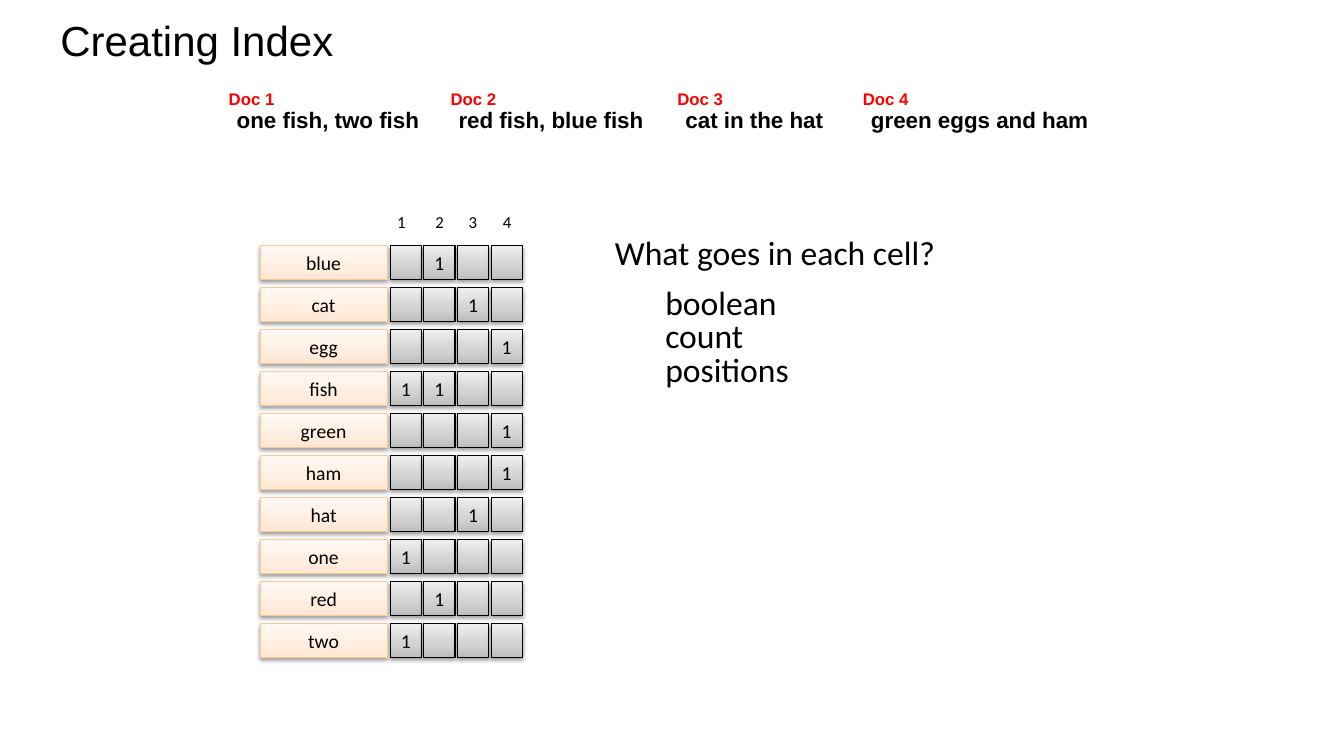
from lxml.etree import SubElement
from pptx import Presentation
from pptx.dml.color import RGBColor
from pptx.enum.shapes import MSO_SHAPE
from pptx.enum.text import MSO_ANCHOR, MSO_AUTO_SIZE, PP_ALIGN
from pptx.oxml.ns import qn
from pptx.util import Inches, Pt

GREY = ("BDBDBD", "D1D1D1", "EEEEEE")
PEACH = ("FFE7D4", "FFEEE0", "FFF8F3")
GRID_TOP, ROW_STEP = 2.44, 5 / 12
GRID_LEFT, COL_STEP = 3.87, 1 / 3

DOCS = [
    (2.17, 2.04, "one fish, two fish"),
    (4.37, 2.06, "red fish, blue fish"),
    (6.62, 1.59, "cat in the hat"),
    (8.46, 2.38, "green eggs and ham"),
]
INDEX = {
    "blue": [2],
    "cat": [3],
    "egg": [4],
    "fish": [1, 2],
    "green": [4],
    "ham": [4],
    "hat": [3],
    "one": [1],
    "red": [2],
    "two": [1],
}


def rgb(value):
    return RGBColor.from_string(value)


def write(tf, text, size, font="Calibri", color="000000", bold=False, align=PP_ALIGN.LEFT):
    p = tf.paragraphs[0]
    p.alignment = align
    r = p.add_run()
    r.text = text
    r.font.size = Pt(size)
    r.font.name = font
    r.font.bold = bold
    r.font.color.rgb = rgb(color)


def add_text(s, text, x, y, w, h, wrap=False, **fmt):
    tf = s.shapes.add_textbox(Inches(x), Inches(y), Inches(w), Inches(h)).text_frame
    tf.word_wrap = wrap
    tf.auto_size = MSO_AUTO_SIZE.SHAPE_TO_FIT_TEXT
    write(tf, text, **fmt)


def set_gradient(sp, colors):
    sp.fill.gradient()
    sp.fill.gradient_angle = 90
    stops = sp._element.spPr.find(qn("a:gradFill")).find(qn("a:gsLst"))
    for stop in list(stops):
        stops.remove(stop)
    for pos, color in zip((0, 35000, 100000), colors):
        stop = SubElement(stops, qn("a:gs"), pos=str(pos))
        SubElement(stop, qn("a:srgbClr"), val=color)


def set_shadow(sp):
    sp.shadow.inherit = False
    effects = sp._element.spPr.find(qn("a:effectLst"))
    shadow = SubElement(effects, qn("a:outerShdw"), blurRad=str(Pt(3.1)),
                        dist=str(Pt(1.6)), dir="5400000", rotWithShape="0")
    color = SubElement(shadow, qn("a:srgbClr"), val="000000")
    SubElement(color, qn("a:alpha"), val="38000")


def add_box(s, text, x, y, w, colors, line):
    sp = s.shapes.add_shape(MSO_SHAPE.RECTANGLE, Inches(x), Inches(y), Inches(w), Inches(0.33))
    set_gradient(sp, colors)
    sp.line.color.rgb = rgb(line)
    sp.line.width = Pt(0.75)
    set_shadow(sp)
    if text:
        tf = sp.text_frame
        tf.word_wrap = False
        tf.vertical_anchor = MSO_ANCHOR.MIDDLE
        write(tf, text, 14, align=PP_ALIGN.CENTER)


def add_doc(s, number, x, w, text):
    add_text(s, text, x + 0.08, 1, w, 0.37, size=16, font="Arial", bold=True)
    add_text(s, f"Doc {number}", x, 0.83, 0.66, 0.3, size=12, font="Arial",
             color="FF0000", bold=True)


def add_index(s):
    for number, x in enumerate((3.84, 4.22, 4.55, 4.89), 1):
        add_text(s, str(number), x, 2.05, 0.29, 0.3, size=12)
    for row, (term, docs) in enumerate(INDEX.items()):
        y = GRID_TOP + row * ROW_STEP
        for col in range(len(DOCS)):
            mark = "1" if col + 1 in docs else ""
            add_box(s, mark, GRID_LEFT + col * COL_STEP, y, 0.31, GREY, "000000")
        add_box(s, term, 2.58, y, 1.26, PEACH, "FCC893")


def main():
    prs = Presentation()
    prs.slide_width, prs.slide_height = Inches(13.33), Inches(7.5)
    s = prs.slides.add_slide(prs.slide_layouts[6])
    add_text(s, "Creating Index", 0.5, 0.09, 2.93, 0.61, size=30, font="Arial")
    for number, doc in enumerate(DOCS, 1):
        add_doc(s, number, *doc)
    add_index(s)
    add_text(s, "What goes in each cell?", 6, 2.25, 4.92, 0.5, wrap=True, size=24)
    for i, option in enumerate(("boolean", "count", "positions")):
        add_text(s, option, 6.5, 2.75 + i * 0.33, 1.58, 0.5, wrap=True, size=24)
    prs.save("out.pptx")


if __name__ == "__main__":
    main()
